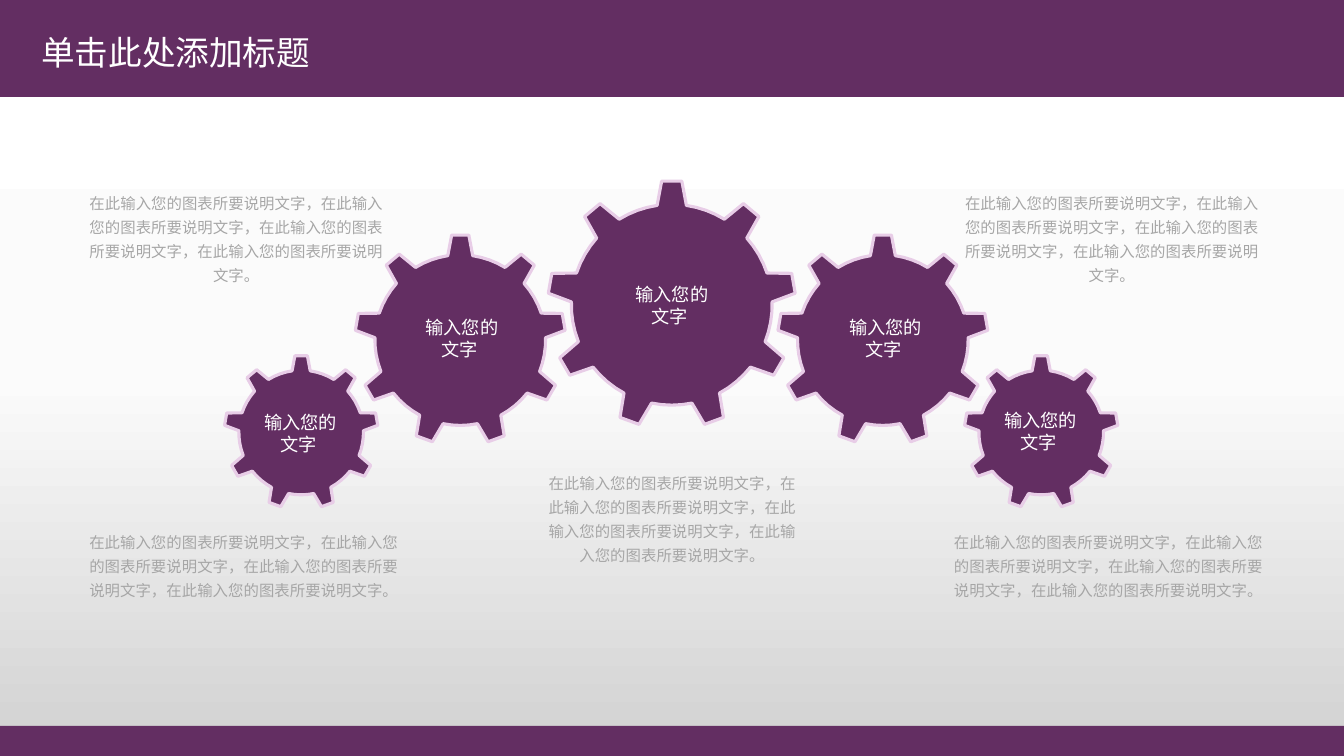
from copy import deepcopy
from math import cos, radians, sin

from pptx import Presentation
from pptx.dml.color import RGBColor
from pptx.enum.shapes import MSO_SHAPE
from pptx.enum.text import MSO_ANCHOR, MSO_AUTO_SIZE as AutoSize, PP_ALIGN
from pptx.oxml.ns import qn
from pptx.util import Cm, Pt

COLORS = {
    "purple": "632E62",
    "outline": "E8CDE7",
    "white": "FFFFFF",
    "near_white": "FBFBFB",
    "silver": "D1D1D1",
    "grey": "A6A6A6",
}
CJK_FONT = "Noto Sans CJK SC"
TEETH = 9
TIP_RATIO = 1.235
TIP_ANGLE = 4.67
ROOT_ANGLE = 8.4
ARC_STEPS = 4
CAPTION = "在此输入您的图表所要说明文字，" * 3 + "在此输入您的图表所要说明文字。"
LABEL = [" 输入您的", "文字"]

# center x, center y, root radius, label left, label top
GEARS = [
    (11.6, 8.57, 2.15, 9.75, 7.8),
    (22.25, 8.57, 2.15, 20.42, 7.8),
    (16.93, 7.68, 2.53, 15.04, 6.96),
    (7.59, 10.9, 1.57, 5.69, 10.19),
    (26.24, 10.9, 1.57, 24.33, 10.13),
]
# left, top, width, height
CAPTIONS = [
    (13.36, 11.63, 7.16, 2.79),
    (23.83, 4.57, 8.38, 2.79),
    (1.88, 4.57, 8.15, 2.79),
    (23.67, 13.11, 8.53, 2.18),
    (1.88, 13.11, 8.53, 2.18),
]


def add_text(box, lines, size, color, font_name=CJK_FONT, frame_format=None, **paragraph_format):
    text_box = slide.shapes.add_textbox(*map(Cm, box))
    frame = text_box.text_frame
    defaults = {
        "word_wrap": True,
        "auto_size": AutoSize.SHAPE_TO_FIT_TEXT,
        "margin_left": Cm(0.33),
        "margin_right": Cm(0.33),
        "margin_top": Cm(0.18),
        "margin_bottom": Cm(0.18),
    }
    for name, value in (defaults | (frame_format or {})).items():
        setattr(frame, name, value)
    for index, line in enumerate(lines):
        paragraph = frame.add_paragraph() if index else frame.paragraphs[0]
        for name, value in paragraph_format.items():
            setattr(paragraph, name, value)
        run = paragraph.add_run()
        run.text = line
        run.font.size = Pt(size)
        run.font.name = font_name
        run.font.color.rgb = RGBColor.from_string(COLORS[color])
        east_asian = run.font._element.makeelement(qn("a:ea"), {"typeface": font_name})
        run.font._element.append(east_asian)


def gear_points(center_x, center_y, radius):
    """Outline clockwise from the top tooth: two tip corners, then the root arc."""
    arc_step = (360 / TEETH - 2 * ROOT_ANGLE) / ARC_STEPS
    profile = [(-TIP_ANGLE, TIP_RATIO), (TIP_ANGLE, TIP_RATIO)]
    profile += [(ROOT_ANGLE + step * arc_step, 1) for step in range(ARC_STEPS + 1)]
    points = []
    for tooth in range(TEETH):
        for angle, ratio in profile:
            turn = radians(tooth * 360 / TEETH + angle)
            points.append((Cm(center_x + radius * ratio * sin(turn)),
                           Cm(center_y - radius * ratio * cos(turn))))
    return points


presentation = Presentation()
presentation.slide_width = Cm(33.87)
presentation.slide_height = Cm(19.05)
slide = presentation.slides.add_slide(presentation.slide_layouts[6])

# Background gradient, top to bottom
background = slide.background.fill
background.gradient()
background.gradient_angle = 270
stop_list = slide.element.find(".//" + qn("a:gsLst"))
stop_list.insert(1, deepcopy(stop_list[0]))
stops = [(0, "white"), (0.5, "near_white"), (1, "silver")]
for stop, (position, color) in zip(background.gradient_stops, stops):
    stop.position = position
    stop.color.rgb = RGBColor.from_string(COLORS[color])

# Header and footer bands
for top, height in [(0, 2.44), (18.29, 0.76)]:
    band = slide.shapes.add_shape(
        MSO_SHAPE.RECTANGLE, 0, Cm(top), presentation.slide_width, Cm(height))
    band.shadow.inherit = False
    band.fill.solid()
    band.fill.fore_color.rgb = RGBColor.from_string(COLORS["purple"])
    band.line.fill.background()

# Gears with their labels
for center_x, center_y, radius, label_left, label_top in GEARS:
    start, *others = gear_points(center_x, center_y, radius)
    builder = slide.shapes.build_freeform(*start)
    builder.add_line_segments(others, close=True)
    gear = builder.convert_to_shape()
    gear.shadow.inherit = False
    gear.fill.solid()
    gear.fill.fore_color.rgb = RGBColor.from_string(COLORS["purple"])
    gear.line.color.rgb = RGBColor.from_string(COLORS["outline"])
    gear.line.width = Pt(2.25)
    add_text((label_left, label_top, 3.68, 1.47), LABEL, 13, "white",
             alignment=PP_ALIGN.CENTER)

for box in CAPTIONS:
    add_text(box, [CAPTION], 11, "grey", alignment=PP_ALIGN.CENTER, line_spacing=1.3)

title_frame = {
    "auto_size": AutoSize.NONE,
    "vertical_anchor": MSO_ANCHOR.MIDDLE,
    "margin_left": Cm(0.25),
    "margin_right": Cm(0.25),
    "margin_top": Cm(0.13),
    "margin_bottom": Cm(0.13),
}
add_text((0.79, 0.53, 29.21, 1.68), ["单击此处添加标题"], 24, "white",
         "Montserrat", title_frame, line_spacing=0.9)

presentation.save("out.pptx")
